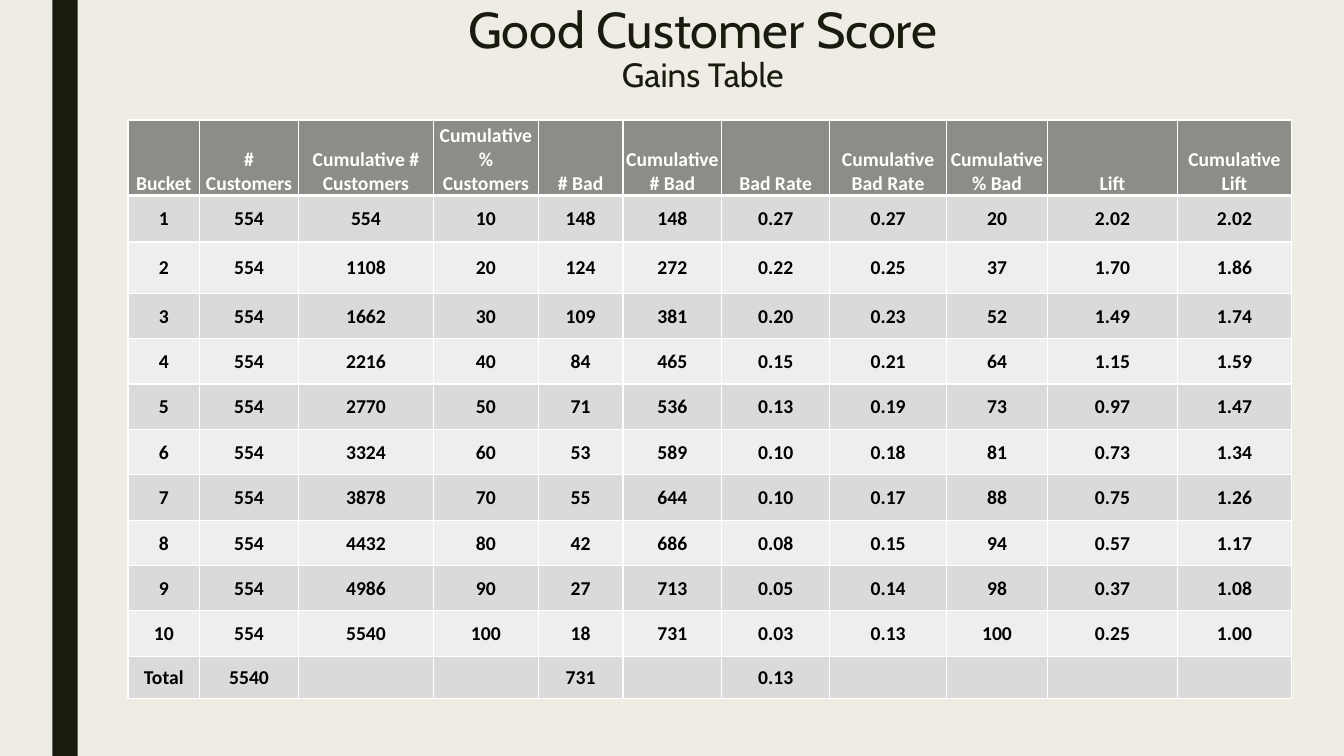
from lxml import etree
from pptx import Presentation, util as u
from pptx.dml.color import RGBColor
from pptx.enum import shapes, text
from pptx.oxml import ns


def tint(fill, hue):
    fill.solid()
    fill.fore_color.rgb = RGBColor.from_string(hue)


def style(run, face, size, hue, bold):
    for key, val in {"name": face, "size": u.Pt(size), "bold": bold}.items():
        setattr(run.font, key, val)
    tint(run.font.fill, hue)


DARK, WHITE = "191B0E", "FFFFFF"
widths = [0.71, 0.98, 1.34, 1.04, 0.84, 0.98, 1.07, 1.16, 1, 1.29, 1.13]
heights = [0.75, 0.46, 0.51] + [0.45] * 8 + [0.42]
heads = ["Bucket", "# Customers", "Cumulative # Customers",
         "Cumulative % Customers", "# Bad", "Cumulative # Bad", "Bad Rate",
         "Cumulative Bad Rate", "Cumulative % Bad", "Lift", "Cumulative Lift"]
scores = [
    (148, 148, "0.27", "0.27", 20, "2.02", "2.02"),
    (124, 272, "0.22", "0.25", 37, "1.70", "1.86"),
    (109, 381, "0.20", "0.23", 52, "1.49", "1.74"),
    (84, 465, "0.15", "0.21", 64, "1.15", "1.59"),
    (71, 536, "0.13", "0.19", 73, "0.97", "1.47"),
    (53, 589, "0.10", "0.18", 81, "0.73", "1.34"),
    (55, 644, "0.10", "0.17", 88, "0.75", "1.26"),
    (42, 686, "0.08", "0.15", 94, "0.57", "1.17"),
    (27, 713, "0.05", "0.14", 98, "0.37", "1.08"),
    (18, 731, "0.03", "0.13", 100, "0.25", "1.00"),
]
rows = [heads]
for n, score in enumerate(scores, 1):
    rows.append([n, 554, 554 * n, 10 * n, *score])
rows.append(["Total", 5540, "", "", 731, "", "0.13", "", "", "", ""])

deck = Presentation()
deck.slide_width, deck.slide_height = u.Inches(13.33), u.Inches(7.5)
slide = deck.slides.add_slide(deck.slide_layouts[5])
tint(slide.background.fill, "EFEDE3")

bar = slide.shapes.add_shape(shapes.MSO_SHAPE.RECTANGLE, u.Inches(0.52), 0,
                             u.Inches(0.25), u.Inches(7.5))
bar.shadow.inherit = False
bar.line.fill.background()
tint(bar.fill, DARK)
slide.shapes._spTree.insert(2, bar._element)

title = slide.shapes.title
place = {"left": 1.72, "top": 0, "width": 10.5, "height": 1.62}
for key, val in place.items():
    setattr(title, key, u.Inches(val))
frame = title.text_frame
form = {"word_wrap": True, "auto_size": text.MSO_AUTO_SIZE.NONE,
        "vertical_anchor": text.MSO_ANCHOR.TOP}
for key, val in form.items():
    setattr(frame, key, val)
para = frame.paragraphs[0]
para.alignment = text.PP_ALIGN.CENTER
para.line_spacing = 0.89
run = para.add_run()
run.text = "Good Customer Score"
style(run, "Cabin", 36, DARK, False)
para.add_line_break()
etree.SubElement(para._p[-1], ns.qn("a:rPr"), sz="3600")
run = para.add_run()
run.text = "Gains Table"
style(run, "Cabin", 24, DARK, False)

grid = slide.shapes.add_table(len(rows), len(heads), u.Inches(1.27),
                              u.Inches(1.19), u.Inches(sum(widths)),
                              u.Inches(sum(heights))).table
for col, width in zip(grid.columns, widths):
    col.width = u.Inches(width)
for row, height in zip(grid.rows, heights):
    row.height = u.Inches(height)

for r, row in enumerate(rows):
    head = r == 0
    shade = "8C8D86" if head else ("EEEEED", "DADBD9")[r % 2]
    anchor = text.MSO_ANCHOR.BOTTOM if head else text.MSO_ANCHOR.MIDDLE
    edges = {"lnL": 1, "lnR": 1, "lnT": 3 if r == 1 else 1,
             "lnB": 3 if head else 1}
    for c, word in enumerate(row):
        cell = grid.cell(r, c)
        form = {"margin_left": u.Inches(0.01), "margin_right": u.Inches(0.01),
                "margin_top": u.Inches(0.01), "margin_bottom": 0,
                "vertical_anchor": anchor}
        for key, val in form.items():
            setattr(cell, key, val)
        for edge, points in edges.items():
            line = etree.SubElement(cell._tc.tcPr, ns.qn("a:" + edge),
                                    w=str(u.Pt(points)))
            paint = etree.SubElement(line, ns.qn("a:solidFill"))
            etree.SubElement(paint, ns.qn("a:srgbClr"), val=WHITE)
        tint(cell.fill, shade)
        if word != "":
            para = cell.text_frame.paragraphs[0]
            para.alignment = text.PP_ALIGN.CENTER
            run = para.add_run()
            run.text = str(word)
            style(run, "Calibri", 14, WHITE if head else "000000", True)

deck.save("out.pptx")
